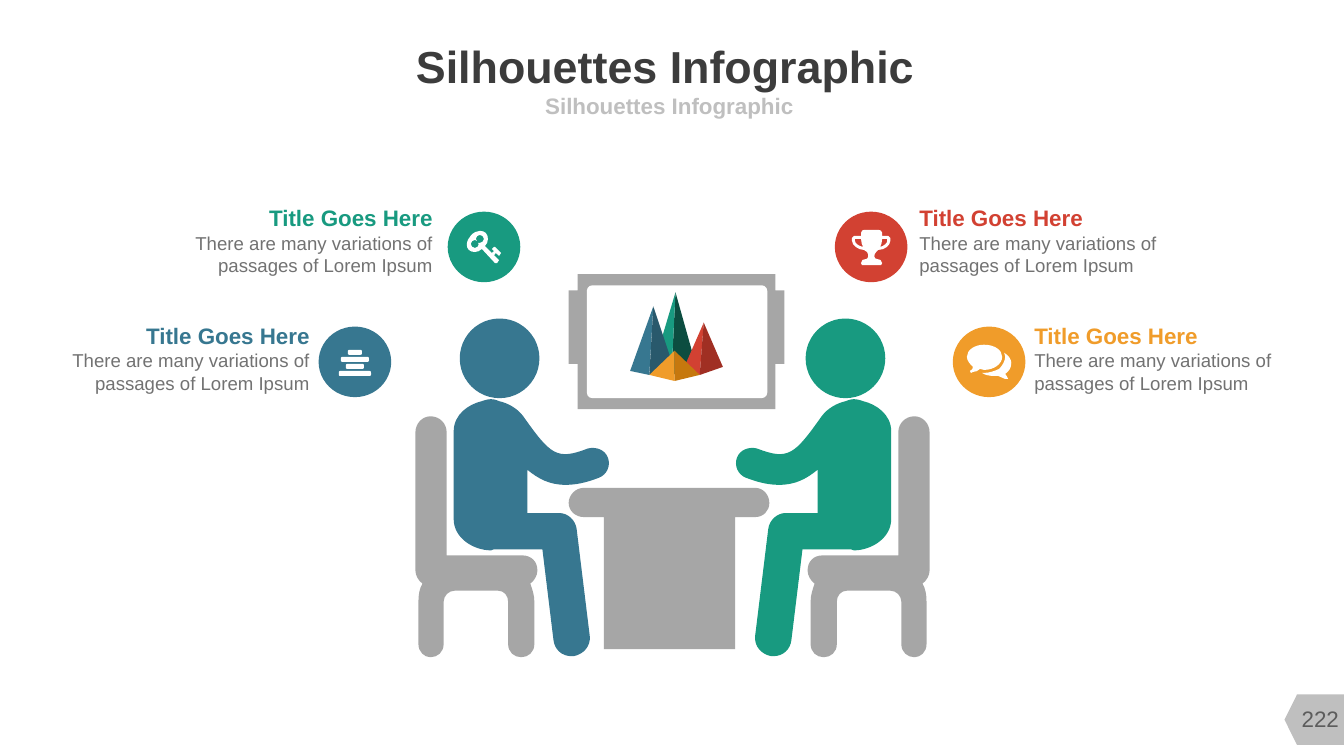
from lxml import etree
from pptx import Presentation
from pptx.dml.color import RGBColor
from pptx.enum.shapes import MSO_SHAPE
from pptx.enum.text import MSO_ANCHOR, PP_ALIGN
from pptx.oxml.ns import qn
from pptx.util import Inches, Pt

LEFT, CENTER, RIGHT = PP_ALIGN.LEFT, PP_ALIGN.CENTER, PP_ALIGN.RIGHT
TOP, MIDDLE = MSO_ANCHOR.TOP, MSO_ANCHOR.MIDDLE
OVAL, ROUNDED = MSO_SHAPE.OVAL, MSO_SHAPE.ROUNDED_RECTANGLE
PAGE_TAG = MSO_SHAPE.FLOWCHART_OFFPAGE_CONNECTOR

COLORS = {
    "white": "FFFFFF", "gray": "A6A6A6", "light": "BFBFBF", "heading": "3C3C3C",
    "body": "727272", "number": "5C5C5C",
    "blue": "377790", "green": "189A80", "red": "D24132", "orange": "F09C2A",
    "dark blue": "29596C", "dark green": "0C4D40", "dark red": "A02F23",
    "dark orange": "C6780E",
}

# Content: colour, circle left and top, text left and top, alignment
HEADING = "Silhouettes Infographic "
TOPIC_TITLE = "Title Goes Here"
TOPIC_BODY = "There are many variations of passages of Lorem Ipsum"
TOPICS = [
    ("red", 8.28, 2.1, 9.02, 1.98, LEFT),
    ("orange", 9.45, 3.24, 10.16, 3.15, LEFT),
    ("green", 4.44, 2.1, 1.29, 1.98, RIGHT),
    ("blue", 3.16, 3.24, 0.07, 3.15, RIGHT),
]

# Outlines: each contour starts at a point; pairs are lines, sixes are curves
SCREEN_FRAME = [[
    (5.73, 4.06), (7.69, 4.06), (7.69, 3.61), (7.78, 3.61), (7.78, 2.88), (7.69, 2.88),
    (7.69, 2.72), (5.73, 2.72), (5.73, 2.88), (5.64, 2.88), (5.64, 3.61), (5.73, 3.61),
]]
PERSON = [[
    (5.72, 5.25), (5.71, 5.16, 5.63, 5.09, 5.55, 5.09), (5.23, 5.09), (5.23, 4.66),
    (5.34, 4.75, 5.45, 4.81, 5.61, 4.81), (5.71, 4.81, 5.81, 4.79, 5.94, 4.74),
    (6.02, 4.71, 6.06, 4.62, 6.03, 4.54), (6, 4.46, 5.91, 4.43, 5.83, 4.45),
    (5.52, 4.57, 5.46, 4.51, 5.19, 4.13), (5.13, 4.05, 5.04, 4, 4.95, 3.98),
    (4.95, 3.98, 4.91, 3.96, 4.87, 3.96), (4.83, 3.96, 4.78, 3.98, 4.78, 3.98),
    (4.65, 4.01, 4.5, 4.11, 4.5, 4.28), (4.5, 5.15),
    (4.5, 5.34, 4.7, 5.46, 4.87, 5.46), (4.9, 5.45), (5.38, 5.45), (5.49, 6.35),
    (5.5, 6.44, 5.57, 6.51, 5.67, 6.51), (5.69, 6.51),
    (5.79, 6.49, 5.86, 6.41, 5.85, 6.31),
]]
CHAIR = [[
    (5.33, 5.66), (5.33, 5.57, 5.27, 5.51, 5.18, 5.51), (4.43, 5.51), (4.43, 4.29),
    (4.43, 4.2, 4.36, 4.13, 4.27, 4.13), (4.19, 4.13, 4.12, 4.2, 4.12, 4.29),
    (4.12, 5.66), (4.12, 5.71, 4.15, 5.76, 4.19, 5.79),
    (4.16, 5.84, 4.15, 5.9, 4.15, 5.97), (4.15, 6.39),
    (4.15, 6.47, 4.21, 6.52, 4.27, 6.52), (4.34, 6.52, 4.4, 6.47, 4.4, 6.39),
    (4.4, 5.97), (4.4, 5.91, 4.45, 5.86, 4.51, 5.86), (4.94, 5.86),
    (5, 5.86, 5.04, 5.91, 5.04, 5.97), (5.04, 6.39),
    (5.04, 6.47, 5.1, 6.52, 5.17, 6.52), (5.24, 6.52, 5.3, 6.47, 5.3, 6.39),
    (5.3, 5.97), (5.3, 5.9, 5.28, 5.85, 5.26, 5.79), (5.3, 5.76, 5.33, 5.71, 5.33, 5.66),
]]
TABLE = [[
    (7.63, 4.99), (7.63, 4.91, 7.57, 4.84, 7.49, 4.84), (5.79, 4.84),
    (5.71, 4.84, 5.64, 4.91, 5.64, 4.99), (5.64, 5.07, 5.71, 5.13, 5.79, 5.13),
    (5.99, 5.13), (5.99, 6.44), (7.29, 6.44), (7.29, 5.13), (7.49, 5.13),
    (7.57, 5.13, 7.63, 5.07, 7.63, 4.99),
]]
PEAK_FACETS = [
    ("dark green", [(6.66, 3.72), (6.7, 2.9), (6.91, 3.65)]),
    ("green", [(6.7, 2.9), (6.66, 3.72), (6.47, 3.67)]),
    ("red", [(6.98, 3.2), (6.94, 3.72), (6.77, 3.68)]),
    ("dark red", [(6.94, 3.72), (6.98, 3.2), (7.17, 3.64)]),
    ("blue", [(6.48, 3.04), (6.44, 3.72), (6.25, 3.68)]),
    ("dark blue", [(6.44, 3.72), (6.48, 3.04), (6.69, 3.67)]),
    ("orange", [(6.69, 3.78), (6.44, 3.72), (6.69, 3.48)]),
    ("dark orange", [(6.69, 3.48), (6.94, 3.72), (6.69, 3.78)]),
]
KEY = [
    [(4.95, 2.54), (4.92, 2.51), (4.9, 2.53), (4.95, 2.58), (4.93, 2.61), (4.91, 2.61),
     (4.78, 2.47), (4.76, 2.49, 4.73, 2.5, 4.71, 2.5),
     (4.66, 2.5, 4.63, 2.47, 4.63, 2.43), (4.63, 2.36, 4.7, 2.29, 4.76, 2.29),
     (4.81, 2.29, 4.84, 2.32, 4.84, 2.37), (4.84, 2.4, 4.83, 2.42, 4.81, 2.44),
     (4.88, 2.51), (4.9, 2.49), (4.88, 2.47), (4.9, 2.45), (4.91, 2.45), (4.97, 2.51)],
    [(4.76, 2.33), (4.74, 2.33, 4.72, 2.35, 4.72, 2.37), (4.73, 2.39), (4.71, 2.38),
     (4.69, 2.38, 4.67, 2.4, 4.67, 2.42), (4.67, 2.44, 4.69, 2.46, 4.71, 2.46),
     (4.73, 2.46, 4.75, 2.44, 4.75, 2.42), (4.74, 2.41), (4.76, 2.41),
     (4.78, 2.41, 4.8, 2.39, 4.8, 2.37), (4.8, 2.35, 4.78, 2.33, 4.76, 2.33)],
]
TROPHY = [
    [(8.83, 2.39), (8.83, 2.43, 8.78, 2.48, 8.71, 2.48), (8.69, 2.5),
     (8.66, 2.53, 8.67, 2.57, 8.7, 2.57), (8.72, 2.57, 8.75, 2.58, 8.75, 2.61),
     (8.74, 2.63), (8.55, 2.63), (8.54, 2.61), (8.54, 2.58, 8.56, 2.57, 8.59, 2.57),
     (8.61, 2.57, 8.62, 2.53, 8.6, 2.5), (8.57, 2.48),
     (8.51, 2.48, 8.45, 2.43, 8.45, 2.39), (8.45, 2.36), (8.47, 2.34), (8.54, 2.34),
     (8.54, 2.31), (8.54, 2.29, 8.56, 2.28, 8.57, 2.28), (8.71, 2.28),
     (8.73, 2.28, 8.75, 2.29, 8.75, 2.31), (8.75, 2.34), (8.81, 2.34), (8.83, 2.36)],
    [(8.54, 2.37), (8.48, 2.37), (8.48, 2.39), (8.48, 2.41, 8.51, 2.44, 8.56, 2.45),
     (8.55, 2.43, 8.54, 2.4, 8.54, 2.37)],
    [(8.8, 2.37), (8.75, 2.37), (8.75, 2.4, 8.74, 2.43, 8.73, 2.45),
     (8.77, 2.44, 8.8, 2.41, 8.8, 2.39)],
]
SPEECH_BUBBLES = [
    [(9.76, 3.67), (9.72, 3.66), (9.7, 3.68, 9.68, 3.69, 9.65, 3.69), (9.63, 3.7),
     (9.62, 3.68), (9.64, 3.67, 9.65, 3.66, 9.65, 3.64),
     (9.62, 3.61, 9.59, 3.58, 9.59, 3.54), (9.59, 3.47, 9.67, 3.42, 9.76, 3.42),
     (9.86, 3.42, 9.94, 3.47, 9.94, 3.54), (9.94, 3.61, 9.86, 3.67, 9.76, 3.67)],
    [(9.97, 3.71), (9.99, 3.74), (10, 3.76), (9.97, 3.76),
     (9.94, 3.75, 9.93, 3.74, 9.9, 3.73), (9.86, 3.73),
     (9.81, 3.73, 9.77, 3.72, 9.74, 3.7), (9.76, 3.7),
     (9.81, 3.7, 9.87, 3.68, 9.91, 3.66), (9.94, 3.63, 9.97, 3.58, 9.97, 3.54),
     (9.96, 3.5), (10.01, 3.53, 10.03, 3.57, 10.03, 3.6),
     (10.03, 3.65, 10.01, 3.68, 9.97, 3.71)],
]
BAR_WIDTHS = [0.14, 0.28, 0.18, 0.32]
MIRROR_SUM = 13.34

deck = Presentation()
deck.slide_width, deck.slide_height = Inches(13.33), Inches(7.5)
page = deck.slides.add_slide(deck.slide_layouts[5])


def paint(shape, color):
    shape.fill.solid()
    shape.fill.fore_color.rgb = RGBColor.from_string(COLORS[color])
    shape.line.fill.background()
    shape.shadow.inherit = False
    return shape


def add_preset(kind, color, *place):
    return paint(page.shapes.add_shape(kind, *map(Inches, place)), color)


def to_points(step, mirrored):
    return [(Inches(MIRROR_SUM - x if mirrored else x), Inches(y))
            for x, y in zip(step[::2], step[1::2])]


def add_outline(contours, color, mirrored=False):
    builder, steps = None, []
    for contour in contours:
        start, *moves = [to_points(step, mirrored) for step in contour]
        if builder is None:
            builder = page.shapes.build_freeform(*start[0])
        else:
            builder.move_to(*start[0])
        builder.add_line_segments([move[-1] for move in moves], close=True)
        steps += moves
    shape = paint(builder.convert_to_shape(), color)
    # Turn the straight segments of curved steps into Bezier curves
    for segment, points in zip(list(shape.element.iter(qn("a:lnTo"))), steps):
        if len(points) == 3:
            segment.tag = qn("a:cubicBezTo")
            for index, (x, y) in enumerate(points[:2]):
                control = etree.Element(qn("a:pt"), x=str(x - shape.left), y=str(y - shape.top))
                segment.insert(index, control)


def write(box, place, lines, align, anchor=TOP, margin=None, wrap=True):
    box.left, box.top, box.width, box.height = map(Inches, place)
    frame = box.text_frame
    frame.word_wrap, frame.vertical_anchor = wrap, anchor
    if margin is not None:
        for side in ("left", "top", "right", "bottom"):
            setattr(frame, f"margin_{side}", Inches(margin))
    for index, (text, size, color, bold) in enumerate(lines):
        para = frame.add_paragraph() if index else frame.paragraphs[0]
        para.alignment = align
        span = para.add_run()
        span.text = text
        for name, value in {"name": "Arial", "size": Pt(size), "bold": bold}.items():
            setattr(span.font, name, value)
        span.font.color.rgb = RGBColor.from_string(COLORS[color])


def add_text(place, *details, **options):
    write(page.shapes.add_textbox(0, 0, 0, 0), place, *details, **options)


# Headings and page number
write(page.shapes.title, (2.55, 0.39, 8.22, 0.52), [(HEADING, 32, "heading", True)],
      CENTER, MIDDLE, margin=0, wrap=False)
add_text((3.67, 0.9, 6, 0.29), [(HEADING, 16, "light", True)], CENTER, MIDDLE, margin=0)
add_preset(PAGE_TAG, "light", 12.8, 6.83, 0.5, 0.62).rotation = 90
add_text((12.76, 6.93, 0.67, 0.4), [("222", 16, "number", False)], CENTER, MIDDLE)

# Screen with peaks
add_outline(SCREEN_FRAME, "gray")
add_preset(ROUNDED, "white", 5.82, 2.83, 1.79, 1.12).adjustments[0] = 0.05
for color, facet in PEAK_FACETS:
    add_outline([facet], color)

# Two people facing each other across the table
for color, head_left, mirrored in (("blue", 4.56, False), ("green", 7.99, True)):
    add_preset(OVAL, color, head_left, 3.16, 0.79, 0.79)
    add_outline(PERSON, color, mirrored)
    add_outline(CHAIR, "gray", mirrored)
add_outline(TABLE, "gray")

# Topics and their icons
for color, circle_left, circle_top, text_left, text_top, align in TOPICS:
    add_preset(OVAL, color, circle_left, circle_top, 0.72, 0.7)
    add_text((text_left, text_top, 3.1, 0.82),
             [(TOPIC_TITLE, 16, color, True), (TOPIC_BODY, 13.3, "body", False)], align)
for icon in (KEY, TROPHY, SPEECH_BUBBLES):
    add_outline(icon, "white")
for row, width in enumerate(BAR_WIDTHS):
    bar = add_preset(ROUNDED, "white", 3.52 - width / 2, 3.47 + row * 0.07, width, 0.05)
    bar.adjustments[0] = 0.3

deck.save("out.pptx")
